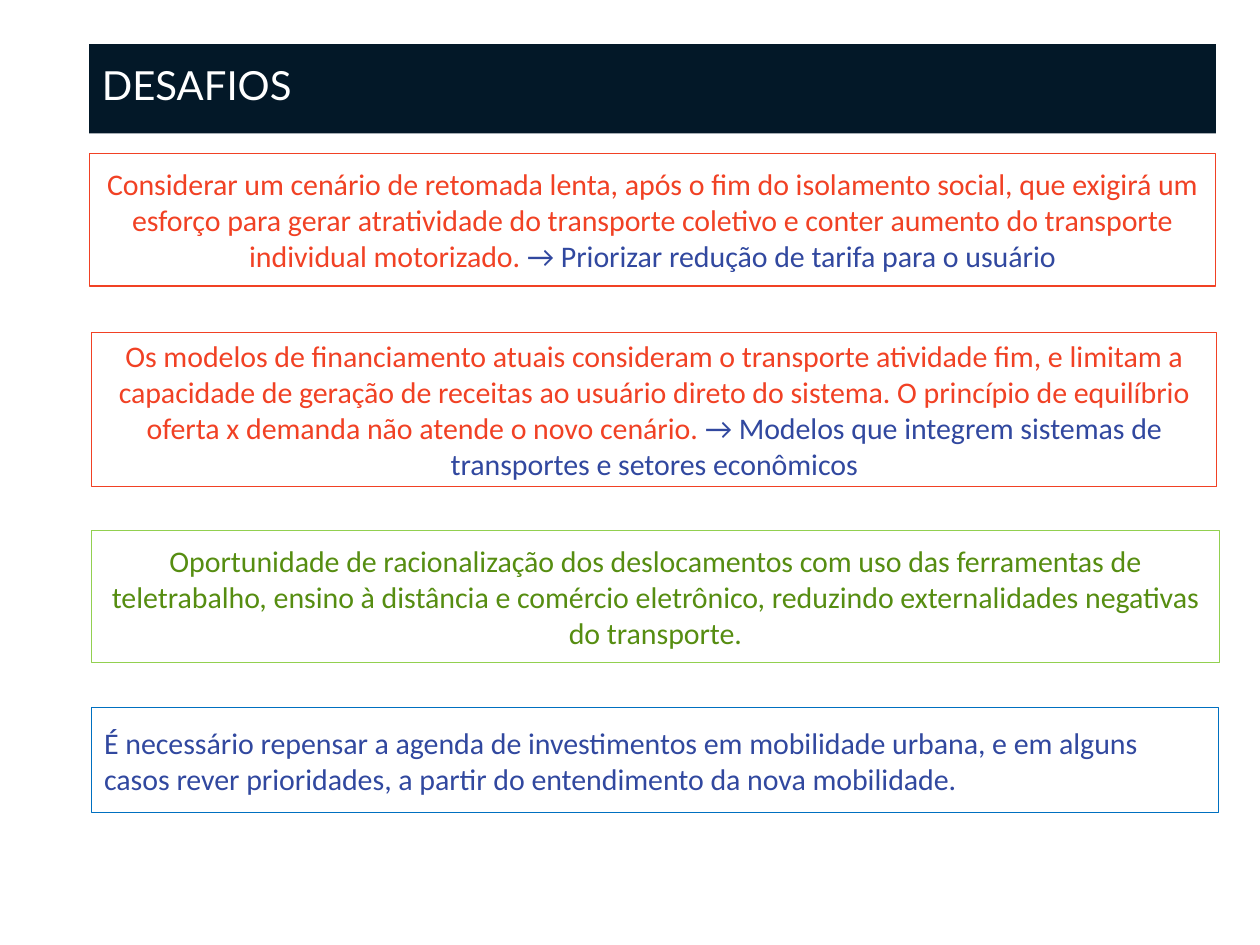
from dataclasses import dataclass

from pptx import Presentation
from pptx.dml.color import RGBColor
from pptx.enum.shapes import MSO_SHAPE
from pptx.enum.text import MSO_ANCHOR, MSO_AUTO_SIZE, PP_ALIGN
from pptx.util import Cm, Pt

RECTANGLE = MSO_SHAPE.RECTANGLE
MIDDLE = MSO_ANCHOR.MIDDLE
NO_AUTOFIT = MSO_AUTO_SIZE.NONE
LEFT, CENTER = PP_ALIGN.LEFT, PP_ALIGN.CENTER
TITLE_ONLY = 5


@dataclass(frozen=True)
class Theme:
    navy: str = "031828"
    white: str = "FFFFFF"
    red: str = "F14124"
    blue: str = "31489F"
    blue_border: str = "0070C0"
    green: str = "568D11"
    green_border: str = "92D050"
    title_font: str = "Lato"
    body_font: str = "Calibri"
    title_size: float = 22.9
    body_size: float = 17.1
    border_width: float = 0.75


THEME = Theme()
TITLE_BOX = (1.8, 0.89, 22.71, 1.8)

# box (left, top, width, height in cm), border, alignment, (text, colour) parts
CHALLENGES = [
    ((1.8, 3.1, 22.71, 2.67), THEME.red, CENTER, [
        ("Considerar um cenário de retomada lenta, após o fim do isolamento "
         "social, que exigirá um esforço para gerar atratividade do transporte "
         "coletivo e conter aumento do transporte individual motorizado. ",
         THEME.red),
        ("→ Priorizar redução de tarifa para o usuário", THEME.blue)]),
    ((1.85, 6.71, 22.68, 3.1), THEME.red, CENTER, [
        ("Os modelos de financiamento atuais consideram o transporte atividade "
         "fim, e limitam a capacidade de geração de receitas ao usuário direto "
         "do sistema. O princípio de equilíbrio oferta x demanda não atende o "
         "novo cenário. ", THEME.red),
        ("→ Modelos que integrem sistemas de transportes e setores econômicos",
         THEME.blue)]),
    ((1.85, 10.69, 22.73, 2.67), THEME.green_border, CENTER, [
        ("Oportunidade de racionalização dos deslocamentos com uso das "
         "ferramentas de teletrabalho, ensino à distância e comércio "
         "eletrônico, reduzindo externalidades negativas do transporte.",
         THEME.green)]),
    ((1.85, 14.27, 22.71, 2.11), THEME.blue_border, LEFT, [
        ("É necessário repensar a agenda de investimentos em mobilidade urbana, "
         "e em alguns casos rever prioridades, a partir do entendimento da nova "
         "mobilidade.", THEME.blue)]),
]


def set_format(target, values):
    for name, value in values.items():
        setattr(target, name, value)


def add_rectangle(slide, box):
    rectangle = slide.shapes.add_shape(RECTANGLE, *map(Cm, box))
    rectangle.shadow.inherit = False
    return rectangle


def write_line(shape, parts, alignment, font_name, size):
    """Write (text, colour) parts as one vertically centred paragraph."""
    frame = shape.text_frame
    set_format(frame, {"word_wrap": True, "auto_size": NO_AUTOFIT,
                       "vertical_anchor": MIDDLE})
    paragraph = frame.paragraphs[0]
    paragraph.alignment = alignment
    for text, colour in parts:
        run = paragraph.add_run()
        run.text = text
        set_format(run.font, {"name": font_name, "size": Pt(size)})
        run.font.color.rgb = RGBColor.from_string(colour)
    return paragraph


def add_title_band(slide, box, text):
    left, top, width, height = box
    band = add_rectangle(slide, box)
    band.fill.solid()
    band.fill.fore_color.rgb = RGBColor.from_string(THEME.navy)
    band.line.fill.background()

    title = slide.shapes.title
    title._element.addprevious(band._element)  # band goes behind the title
    set_format(title, {"left": Cm(left), "top": Cm(top), "width": Cm(width),
                       "height": Cm(height - 0.05)})
    paragraph = write_line(title, [(text, THEME.white)], LEFT,
                           THEME.title_font, THEME.title_size)
    paragraph.line_spacing = 0.9


def add_challenge(slide, box, border, alignment, parts):
    challenge = add_rectangle(slide, box)
    challenge.fill.background()
    challenge.line.color.rgb = RGBColor.from_string(border)
    challenge.line.width = Pt(THEME.border_width)
    write_line(challenge, parts, alignment, THEME.body_font, THEME.body_size)


def main():
    presentation = Presentation()
    set_format(presentation, {"slide_width": Cm(25.4), "slide_height": Cm(19.05)})
    slide = presentation.slides.add_slide(presentation.slide_layouts[TITLE_ONLY])
    add_title_band(slide, TITLE_BOX, "DESAFIOS")
    for challenge in CHALLENGES:
        add_challenge(slide, *challenge)
    presentation.save("out.pptx")


if __name__ == "__main__":
    main()
